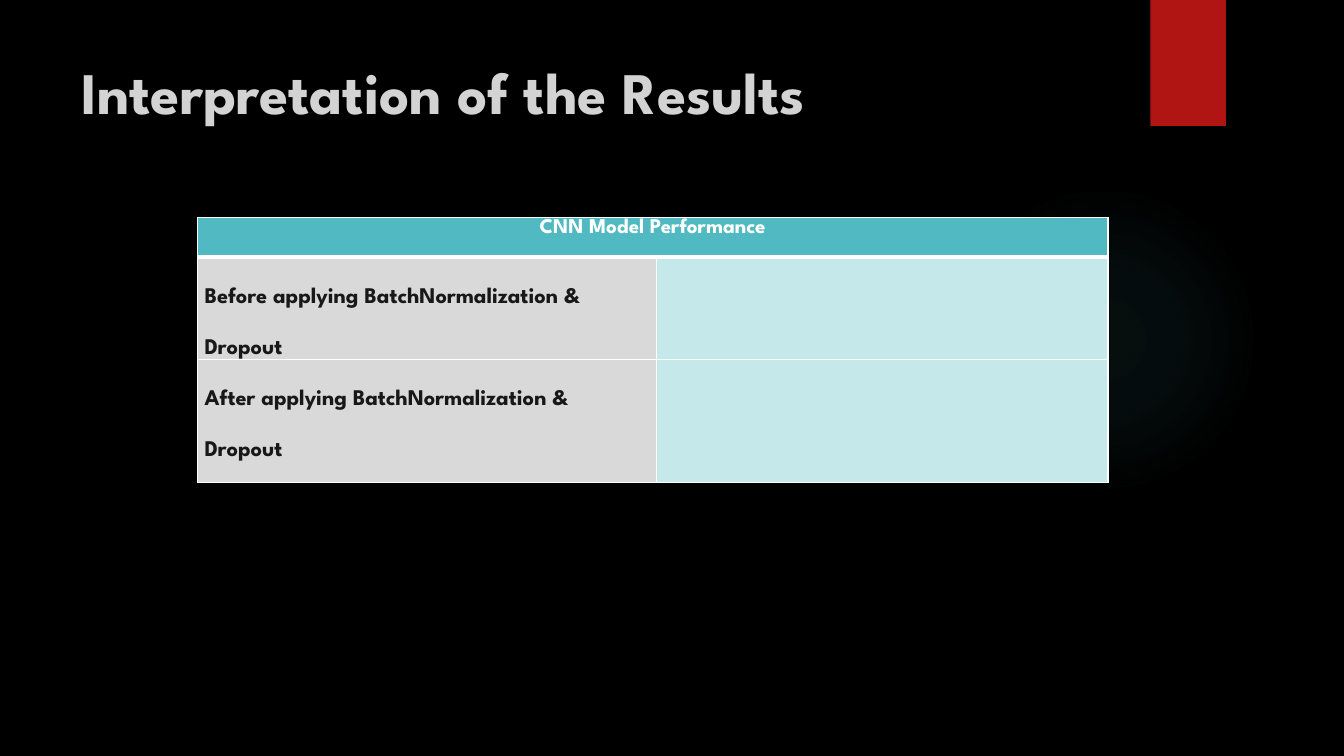
from dataclasses import dataclass

from lxml import etree
from pptx import Presentation
from pptx.dml.color import RGBColor
from pptx.enum.shapes import MSO_SHAPE
from pptx.enum.text import MSO_ANCHOR, PP_ALIGN
from pptx.oxml import parse_xml
from pptx.oxml.ns import qn
from pptx.util import Inches, Pt

RECTANGLE, OVAL = MSO_SHAPE.RECTANGLE, MSO_SHAPE.OVAL
TOP, CENTER, LEFT = MSO_ANCHOR.TOP, PP_ALIGN.CENTER, PP_ALIGN.LEFT
BLANK_LAYOUT = 6
DRAWING_NS = "http://schemas.openxmlformats.org/drawingml/2006/main"


@dataclass(frozen=True)
class Theme:
    font: str = "League Spartan"
    background: str = "000000"
    accent: str = "50B9C1"
    ribbon: str = "B01513"
    title: str = "D3D3D3"
    header_text: str = "FFFFFF"
    label_text: str = "181818"
    label_fill: str = "D9D9D9"
    result_fill: str = "C5E8EA"
    border: str = "FFFFFF"
    title_size: int = 42
    header_size: int = 15
    label_size: int = 16
    label_leading: float = 36.5


THEME = Theme()
SLIDE_WIDTH, SLIDE_HEIGHT = 13.33, 7.5
COLUMN_WIDTHS = (4.55, 4.48)
ROW_HEIGHTS = (0.39, 1.01, 1.22)
GLOW_STOPS = ((0, 7), (36, 6), (69, 0))  # position and opacity, in percent
STAGES = ("Before", "After")


def color(code):
    return RGBColor.from_string(code)


def box(left, top, width, height):
    return [Inches(length) for length in (left, top, width, height)]


def write(frame, text, size, text_color, align=LEFT, spacing=1.0):
    frame.text = text
    frame.word_wrap = True
    paragraph = frame.paragraphs[0]
    paragraph.alignment = align
    paragraph.line_spacing = spacing
    font = paragraph.runs[0].font
    font.name, font.size, font.bold = THEME.font, Pt(size), True
    font.color.rgb = color(text_color)


def add_plain_shape(slide, kind, place, fill):
    shape = slide.shapes.add_shape(kind, *place)
    shape.shadow.inherit = False
    shape.fill.solid()
    shape.fill.fore_color.rgb = color(fill)
    shape.line.fill.background()
    return shape


def add_glow(slide, place):
    """Draw a disc whose accent colour fades out from its centre."""
    glow = add_plain_shape(slide, OVAL, place, THEME.accent)
    stops = "".join(
        f'<a:gs pos="{position * 1000}"><a:srgbClr val="{THEME.accent}">'
        f'<a:alpha val="{opacity * 1000}"/></a:srgbClr></a:gs>'
        for position, opacity in GLOW_STOPS
    )
    gradient = parse_xml(
        f'<a:gradFill xmlns:a="{DRAWING_NS}"><a:gsLst>{stops}</a:gsLst>'
        '<a:path path="circle"><a:fillToRect l="50000" t="50000" r="50000" b="50000"/>'
        "</a:path></a:gradFill>"
    )
    properties = glow.element.spPr
    properties.replace(properties.find(qn("a:solidFill")), gradient)


def add_title(slide, text):
    frame = slide.shapes.add_textbox(*box(0.71, 0.5, 10.29, 1.53)).text_frame
    frame.vertical_anchor = TOP
    write(frame, text, THEME.title_size, THEME.title)


def set_borders(cell, top, bottom):
    """Draw the four cell edges; widths are in points."""
    properties = cell._tc.get_or_add_tcPr()
    for index, (side, width) in enumerate(zip("LRTB", (1, 1, top, bottom))):
        edge = etree.Element(qn(f"a:ln{side}"), w=str(Pt(width)))
        fill = etree.SubElement(edge, qn("a:solidFill"))
        etree.SubElement(fill, qn("a:srgbClr"), val=THEME.border)
        properties.insert(index, edge)


def style_cell(cell, fill, top=1, bottom=1):
    cell.margin_left = cell.margin_right = Inches(0.07)
    cell.margin_top = cell.margin_bottom = 0
    cell.vertical_anchor = TOP
    cell.fill.solid()
    cell.fill.fore_color.rgb = color(fill)
    set_borders(cell, top, bottom)


def add_performance_table(slide):
    place = box(1.96, 2.16, sum(COLUMN_WIDTHS), sum(ROW_HEIGHTS))
    table = slide.shapes.add_table(len(ROW_HEIGHTS), len(COLUMN_WIDTHS), *place).table
    table.horz_banding = False
    for column, width in zip(table.columns, COLUMN_WIDTHS):
        column.width = Inches(width)
    for row, height in zip(table.rows, ROW_HEIGHTS):
        row.height = Inches(height)

    header = table.cell(0, 0)
    header.merge(table.cell(0, 1))
    for column in range(len(COLUMN_WIDTHS)):
        style_cell(table.cell(0, column), THEME.accent, bottom=3)
    write(header.text_frame, "CNN Model Performance", THEME.header_size,
          THEME.header_text, CENTER, 1.07)

    for row, stage in enumerate(STAGES, start=1):
        label, result = table.cell(row, 0), table.cell(row, 1)
        style_cell(label, THEME.label_fill)
        style_cell(result, THEME.result_fill)
        write(label.text_frame, f"{stage} applying BatchNormalization & Dropout",
              THEME.label_size, THEME.label_text, spacing=Pt(THEME.label_leading))


def main():
    deck = Presentation()
    deck.slide_width, deck.slide_height = Inches(SLIDE_WIDTH), Inches(SLIDE_HEIGHT)
    slide = deck.slides.add_slide(deck.slide_layouts[BLANK_LAYOUT])
    slide.background.fill.solid()
    slide.background.fill.fore_color.rgb = color(THEME.background)

    add_glow(slide, box(9.41, 1.83, 3.08, 3.08))
    add_plain_shape(slide, RECTANGLE, box(11.41, 0, 0.75, SLIDE_HEIGHT / 6), THEME.ribbon)
    add_title(slide, "Interpretation of the Results")
    add_performance_table(slide)
    deck.save("out.pptx")


if __name__ == "__main__":
    main()
